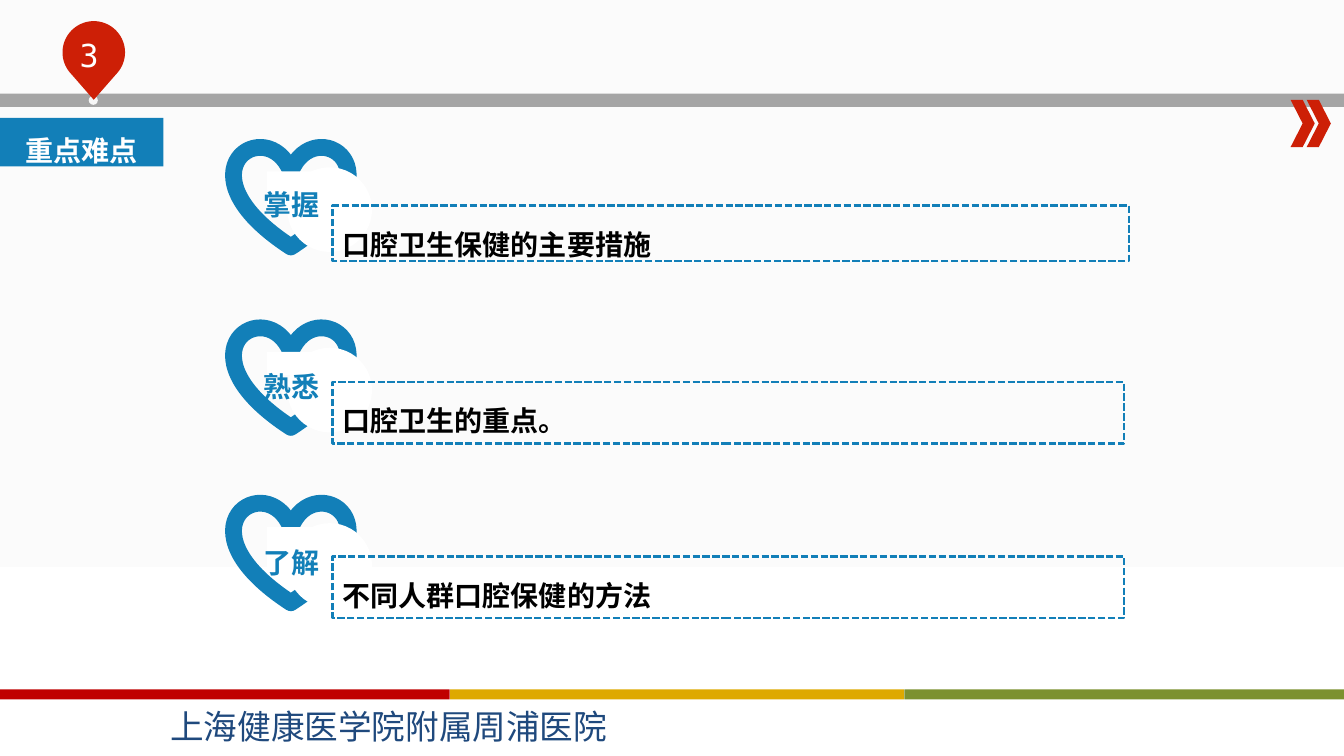
import math

from pptx import Presentation
from pptx.dml.color import RGBColor
from pptx.enum.dml import MSO_LINE
from pptx.enum.shapes import MSO_SHAPE
from pptx.enum.text import MSO_ANCHOR, MSO_AUTO_SIZE, PP_ALIGN
from pptx.util import Inches, Pt

RECT, OVAL = MSO_SHAPE.RECTANGLE, MSO_SHAPE.OVAL
HEART, CHEVRON = MSO_SHAPE.HEART, MSO_SHAPE.CHEVRON
CENTER, LEFT = PP_ALIGN.CENTER, PP_ALIGN.LEFT
TOP, MIDDLE = MSO_ANCHOR.TOP, MSO_ANCHOR.MIDDLE
FIT_TEXT, FIXED = MSO_AUTO_SIZE.SHAPE_TO_FIT_TEXT, MSO_AUTO_SIZE.NONE
DASH = MSO_LINE.SQUARE_DOT

TITLE = "重点难点"
PAGE = "3"
HOSPITAL = "上海健康医学院附属周浦医院"
# label, goal, heart top, mask height, label top, goal box (top, width, height)
GOALS = [
    ("掌握", "口腔卫生保健的主要措施", 1.45, 0.35, 1.70, (2.04, 7.90, 0.55)),
    ("熟悉", "口腔卫生的重点。", 3.24, 0.23, 3.51, (3.79, 7.85, 0.61)),
    ("了解", "不同人群口腔保健的方法", 4.98, 0.46, 5.25, (5.52, 7.85, 0.61)),
]
FOOTER_BANDS = ["dark_red", "gold", "green"]
COLORS = {
    "blue": "127FB8", "red": "CD1F06", "gray": "A5A5A5", "dot": "F6F6F6",
    "dark_red": "C00000", "gold": "DEA900", "green": "7C912F",
    "navy": "1F497D", "white": "FFFFFF", "black": "000000", "paper": "FBFBFB",
}
BODY_FONT = "Times New Roman"


def rgb(name):
    return RGBColor.from_string(COLORS[name])


def paint(shape, fill=None, line=None, width=1):
    shape.shadow.inherit = False
    if fill:
        shape.fill.solid()
        shape.fill.fore_color.rgb = rgb(fill)
    else:
        shape.fill.background()
    if line:
        shape.line.color.rgb = rgb(line)
        shape.line.width = Pt(width)
    else:
        shape.line.fill.background()
    return shape


def add_part(kind, box, **style):
    return paint(slide.shapes.add_shape(kind, *map(Inches, box)), **style)


def write(shape, text, color, size=20, font=BODY_FONT, bold=True,
          align=CENTER, anchor=MIDDLE, spacing=1.5, wrap=True):
    frame = shape.text_frame
    frame.word_wrap = wrap
    frame.vertical_anchor = anchor
    frame.text = text
    line = frame.paragraphs[0]
    line.alignment = align
    line.line_spacing = spacing
    line.font.name = font
    line.font.size = Pt(size)
    line.font.bold = bold
    line.font.color.rgb = rgb(color)


def add_text(box, text, color, **style):
    write(slide.shapes.add_textbox(*map(Inches, box)), text, color, **style)


prs = Presentation()
prs.slide_width, prs.slide_height = Inches(13.33), Inches(7.5)
slide = prs.slides.add_slide(prs.slide_layouts[5])

# Background
backdrop = slide.background.fill
backdrop.gradient()
backdrop.gradient_angle = 270
for stop, position, shade in zip(backdrop.gradient_stops, (0.5, 1), ("paper", "white")):
    stop.position = position
    stop.color.rgb = rgb(shade)

# Header bar and chevrons
add_part(RECT, (0, 0.93, 13.33, 0.13), fill="gray")
for left in (12.80, 12.96):
    add_part(CHEVRON, (left, 0.99, 0.24, 0.47), fill="red")

# Page pin: a round head running down to a point
add_part(OVAL, (0.88, 0.95, 0.09, 0.09), fill="dot")
pin_x, pin_y, pin_radius, pin_tip = 0.93, 0.52, 0.31, 0.99
head = [(Inches(pin_x + pin_radius * math.cos(math.radians(angle))),
         Inches(pin_y + pin_radius * math.sin(math.radians(angle))))
        for angle in range(135, 406, 5)]
outline = slide.shapes.build_freeform(Inches(pin_x), Inches(pin_tip))
outline.add_line_segments(head, close=True)
paint(outline.convert_to_shape(), fill="red")
add_text((0.45, 0.31, 0.87, 0.41), PAGE, "white", size=22.6,
         font="DejaVu Sans Mono", bold=False, anchor=TOP, spacing=1)

# Footer
for i, shade in enumerate(FOOTER_BANDS):
    add_part(RECT, (-0.04 + 4.505 * i, 6.84, 4.5, 0.1), fill=shade)
add_text((1.59, 6.95, 4.53, 0.5), HOSPITAL, "navy", size=24,
         font="Noto Sans CJK SC", bold=False, align=LEFT, anchor=TOP,
         spacing=1, wrap=False)

# Title
title = slide.shapes.title
title.left, title.top, title.width, title.height = map(Inches, (0, 1.17, 1.62, 0.48))
title.fill.solid()
title.fill.fore_color.rgb = rgb("blue")
write(title, TITLE, "white")
title.text_frame.auto_size = FIXED

# Goals: a heart opened up by white masks, its label and a dashed box
for label, goal, top, mask_height, label_top, (box_top, width, height) in GOALS:
    add_part(HEART, (2.32, top, 1.13, 1), line="blue", width=12)
    add_part(OVAL, (2.85, top + 0.21, 0.84, 0.84), fill="white")
    add_part(RECT, (2.65, top + 0.25, 0.46, mask_height), fill="white")
    add_text((2.27, label_top, 1.25, 0.48), label, "blue")
    goal_box = add_part(RECT, (3.3, box_top, width, height), line="blue", width=1.75)
    goal_box.line.dash_style = DASH
    write(goal_box, goal, "black", align=LEFT, anchor=TOP)
    goal_box.text_frame.auto_size = FIT_TEXT

prs.save("out.pptx")
